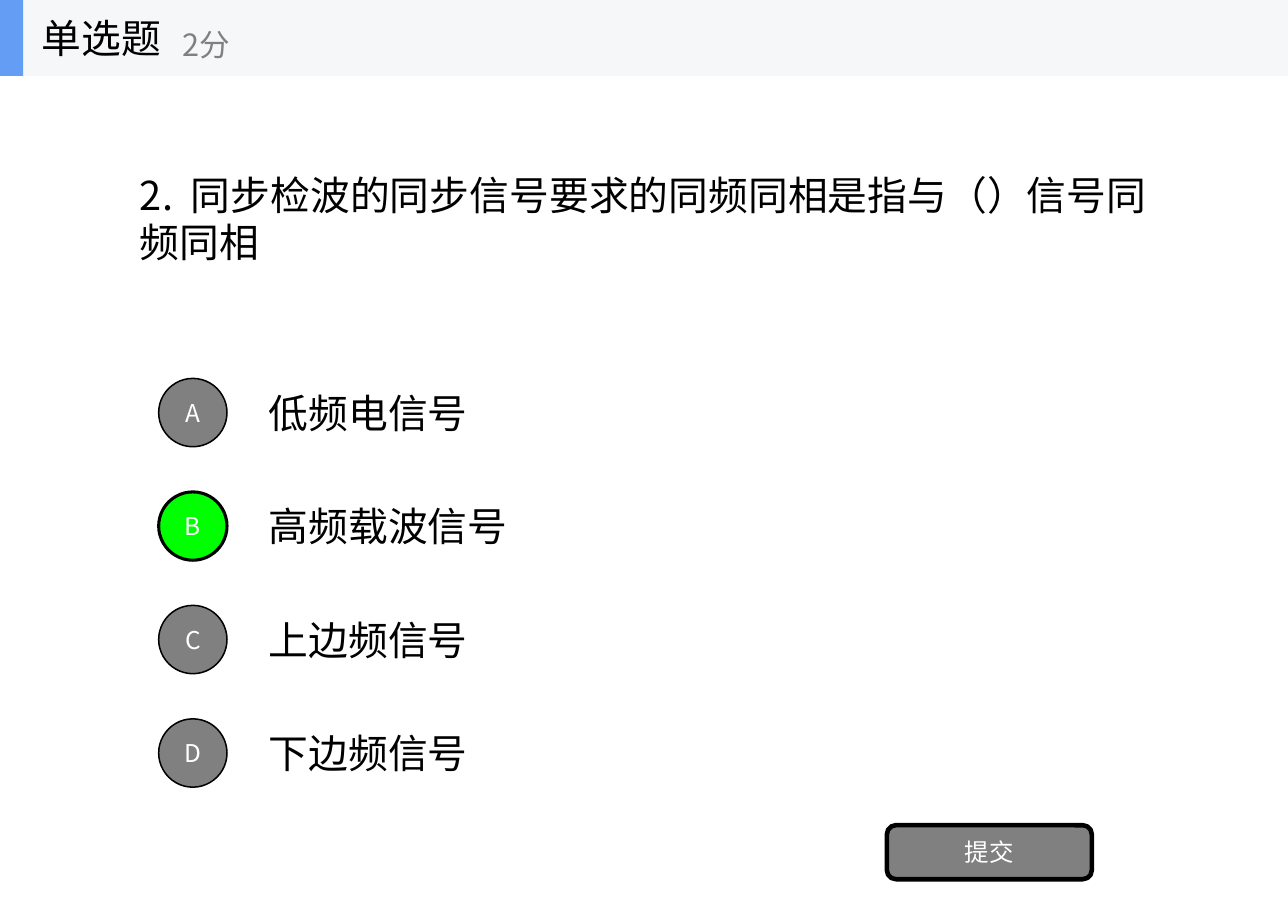
import pptx
import pptx.util
import pptx.dml.color
import pptx.enum.shapes
import pptx.enum.text
import lxml.etree
from pptx.util import Inches

FONT = "Noto Sans CJK SC"
COLORS = {
    "text": "000000",
    "white": "FFFFFF",
    "gray": "808080",
    "correct": "00FF00",
    "header": "F6F7F8",
    "accent": "639EF4",
}
OPTIONS = [
    ("A", "低频电信号"),
    ("B", "高频载波信号"),
    ("C", "上边频信号"),
    ("D", "下边频信号"),
]
CORRECT = "B"
FIRST_OPTION_TOP = 3.36
OPTION_STEP = 1.03
OPTION_HEIGHT = 0.77
CIRCLE_SIZE = 0.62

ALIGN = pptx.enum.text.PP_ALIGN
SHAPE = pptx.enum.shapes.MSO_SHAPE


def rgb(name):
    return pptx.dml.color.RGBColor.from_string(COLORS[name])


def write_text(shape, text, size, color, align=ALIGN.LEFT):
    frame = shape.text_frame
    frame.word_wrap = True
    frame.auto_size = pptx.enum.text.MSO_AUTO_SIZE.NONE
    frame.vertical_anchor = pptx.enum.text.MSO_ANCHOR.MIDDLE
    paragraph = frame.paragraphs[0]
    paragraph.alignment = align
    run = paragraph.add_run()
    run.text = text
    run.font.size = pptx.util.Pt(size)
    run.font.name = FONT
    run.font.color.rgb = rgb(color)
    # Chinese characters take the East Asian typeface
    properties = run.font._element
    tag = pptx.oxml.ns.qn("a:ea")
    lxml.etree.SubElement(properties, tag).set("typeface", FONT)


def add_label(shapes, box, text, size=26, color="text"):
    label = shapes.add_textbox(*map(Inches, box))
    write_text(label, text, size, color)


def add_block(shapes, kind, box, fill, line_width=0):
    block = shapes.add_shape(kind, *map(Inches, box))
    block.shadow.inherit = False
    block.fill.solid()
    block.fill.fore_color.rgb = rgb(fill)
    if line_width:
        block.line.color.rgb = rgb("text")
        block.line.width = pptx.util.Pt(line_width)
    else:
        block.line.fill.background()
    return block


def add_button(shapes, kind, box, text, fill, line_width):
    button = add_block(shapes, kind, box, fill, line_width)
    write_text(button, text, 16, "white", ALIGN.CENTER)


def place_question(slide):
    title = slide.shapes.title
    title.left, title.top = Inches(1.17), Inches(0.69)
    title.width, title.height = Inches(9.36), Inches(2.58)
    write_text(title, "2.  同步检波的同步信号要求的同频同相是指与（）信号同频同相", 26, "text")


def add_option(shapes, index, letter, answer):
    top = FIRST_OPTION_TOP + index * OPTION_STEP
    add_label(shapes, (2.34, top, 8.19, OPTION_HEIGHT), answer)
    circle_top = top + (OPTION_HEIGHT - CIRCLE_SIZE) / 2
    is_correct = letter == CORRECT
    add_button(shapes, SHAPE.OVAL, (1.44, circle_top, CIRCLE_SIZE, CIRCLE_SIZE), letter,
               "correct" if is_correct else "gray", 2 if is_correct else 1)


def add_header(slide):
    header = slide.shapes.add_group_shape().shapes
    add_block(header, SHAPE.RECTANGLE, (0, 0, 11.69, 0.69), "header")
    add_block(header, SHAPE.RECTANGLE, (0, 0, 0.21, 0.69), "accent")
    add_label(header, (0.28, 0, 2.08, 0.69), "单选题")
    add_label(header, (1.56, 0.12, 2.5, 0.56), "2分", 20, "gray")


def main():
    presentation = pptx.Presentation()
    presentation.slide_width = Inches(11.69)
    presentation.slide_height = Inches(8.26)
    # Layout 5 holds a title only
    slide = presentation.slides.add_slide(presentation.slide_layouts[5])

    # Question and answer options
    place_question(slide)
    for index, (letter, answer) in enumerate(OPTIONS):
        add_option(slide.shapes, index, letter, answer)

    # Submit button
    add_button(slide.shapes, SHAPE.ROUNDED_RECTANGLE, (8.05, 7.49, 1.86, 0.49),
               "提交", "gray", 3)

    # Header bar with question type and score
    add_header(slide)
    presentation.save("out.pptx")


if __name__ == "__main__":
    main()
